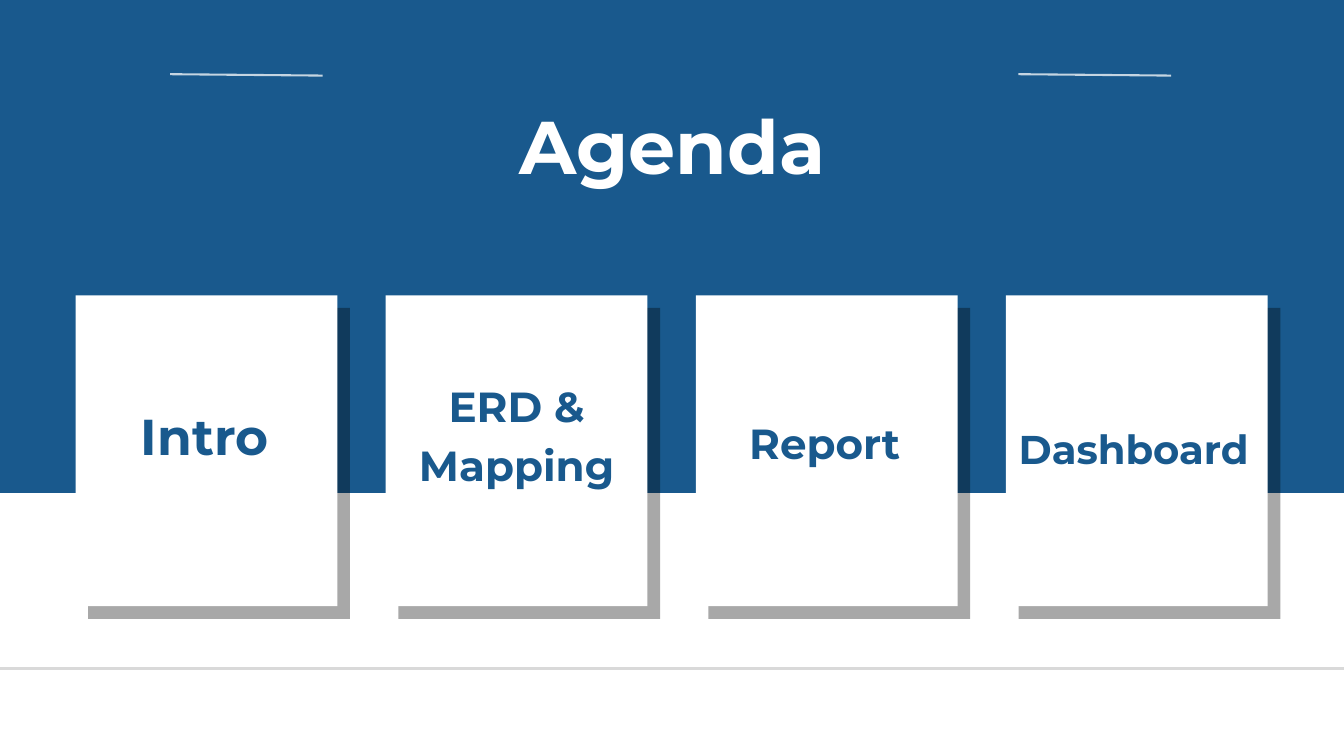
from lxml.etree import SubElement
from pptx import Presentation
from pptx.dml.color import RGBColor
from pptx.enum.shapes import MSO_CONNECTOR as Connector, MSO_SHAPE as Shape
from pptx.enum.text import MSO_ANCHOR as Anchor, MSO_AUTO_SIZE as AutoSize, PP_ALIGN as Align
from pptx.oxml.ns import qn
from pptx.util import Emu, Pt

PX = 9525  # EMU per px, 96 px to the inch
BLUE, WHITE, BLACK, GREY = "19598D", "FFFFFF", "000000", "D9D9D9"


def px(length):
    return Emu(length * PX)


def paint(color_format, color, opacity=100):
    """Set a colour from a hex string, with an opacity in percent."""
    color_format.rgb = RGBColor.from_string(color)
    if opacity < 100:
        for srgb in color_format._xFill.iter(qn("a:srgbClr")):
            SubElement(srgb, qn("a:alpha"), val=str(opacity * 1000))


def write(holder, text, *, size, spacing, color, font="Montserrat", bold=True):
    """Fill a text box or placeholder with one centred paragraph."""
    frame = holder.text_frame
    frame.word_wrap = True
    frame.auto_size = AutoSize.SHAPE_TO_FIT_TEXT
    frame.vertical_anchor = Anchor.TOP
    frame.margin_left = frame.margin_right = frame.margin_top = frame.margin_bottom = 0
    paragraph = frame.paragraphs[0]
    paragraph.alignment = Align.CENTER
    paragraph.line_spacing = Pt(spacing)
    paragraph.space_before = Pt(0)
    run = paragraph.add_run()
    run.text = text
    run.font.name, run.font.size, run.font.bold = font, Pt(size), bold
    paint(run.font.color, color)


class AgendaSlide:
    def __init__(self, deck):
        self.slide = deck.slides.add_slide(deck.slide_layouts[5])
        self.shapes = self.slide.shapes

    def block(self, left, top, width, height, color, opacity=100):
        block = self.shapes.add_shape(Shape.RECTANGLE, px(left), px(top), px(width), px(height))
        block.shadow.inherit = False
        block.line.fill.background()
        block.fill.solid()
        paint_target = block.fill.fore_color
        paint(paint_target, color, opacity)

    def title(self, text, left, top, width, height, **style):
        title = self.shapes.title
        title.left, title.top, title.width, title.height = map(px, (left, top, width, height))
        write(title, text, **style)
        # Bring the title in front of the band
        self.shapes._spTree.append(title._element)

    def label(self, text, left, top, width, height, **style):
        label = self.shapes.add_textbox(px(left), px(top), px(width), px(height))
        write(label, text, **style)

    def rule(self, x1, y1, x2, y2, color, opacity=100):
        rule = self.shapes.add_connector(Connector.STRAIGHT, px(x1), px(y1), px(x2), px(y2))
        rule.line.width = Pt(2.25)
        rule.line.fill.solid()
        paint(rule.line.fill.fore_color, color, opacity)
        SubElement(rule._element.spPr, qn("a:effectLst"))


def main():
    deck = Presentation()
    deck.slide_width, deck.slide_height = px(1920), px(1080)
    agenda = AgendaSlide(deck)

    # Blue band behind the upper part
    agenda.block(-72, -16, 2064, 720, BLUE)

    # Four cards, all shadows behind all faces
    first_left, top, pitch, shadow_offset = 108, 422, 443, 18
    for offset, color, opacity in ((shadow_offset, BLACK, 34), (0, WHITE, 100)):
        for card in range(4):
            left = first_left + card * pitch
            agenda.block(left + offset, top + offset, 374, 444, color, opacity)

    agenda.title("Agenda", 539, 164, 844, 111, size=80, spacing=80, color=WHITE)

    # Card labels: text, box, font size
    topics = (
        ("Intro", (85, 564, 415, 97), 54),
        ("ERD & Mapping", (576, 532, 324, 162), 45),
        ("Report", (1016, 584, 324, 79), 45),
        ("Dashboard", (1445, 595, 349, 78), 43),
    )
    for topic, box, size in topics:
        agenda.label(topic, *box, size=size, spacing=size * 1.4, color=BLUE)

    # Accent rules beside the title and the footer rule
    for left in (1455, 243):
        agenda.rule(left, 106, left + 218, 108, WHITE, 75)
    agenda.rule(-30, 955, 1950, 955, GREY)

    deck.save("out.pptx")


if __name__ == "__main__":
    main()
